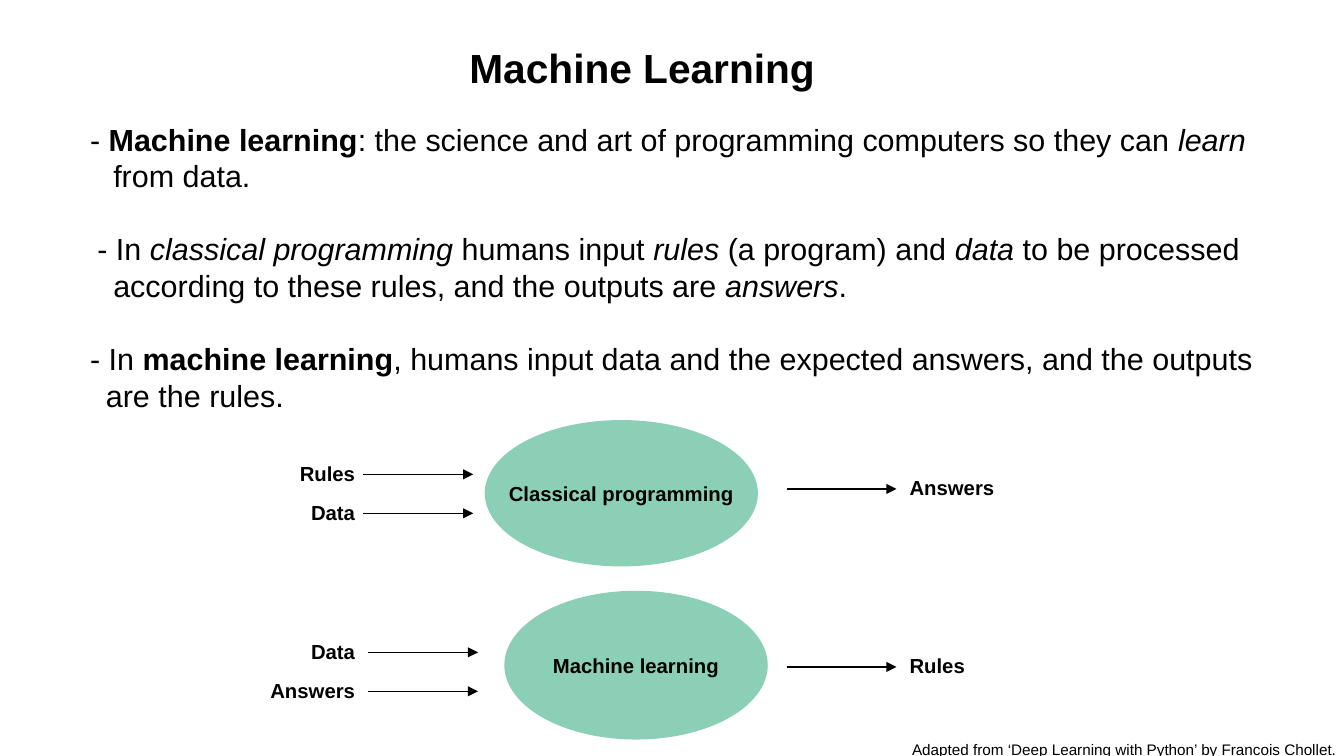
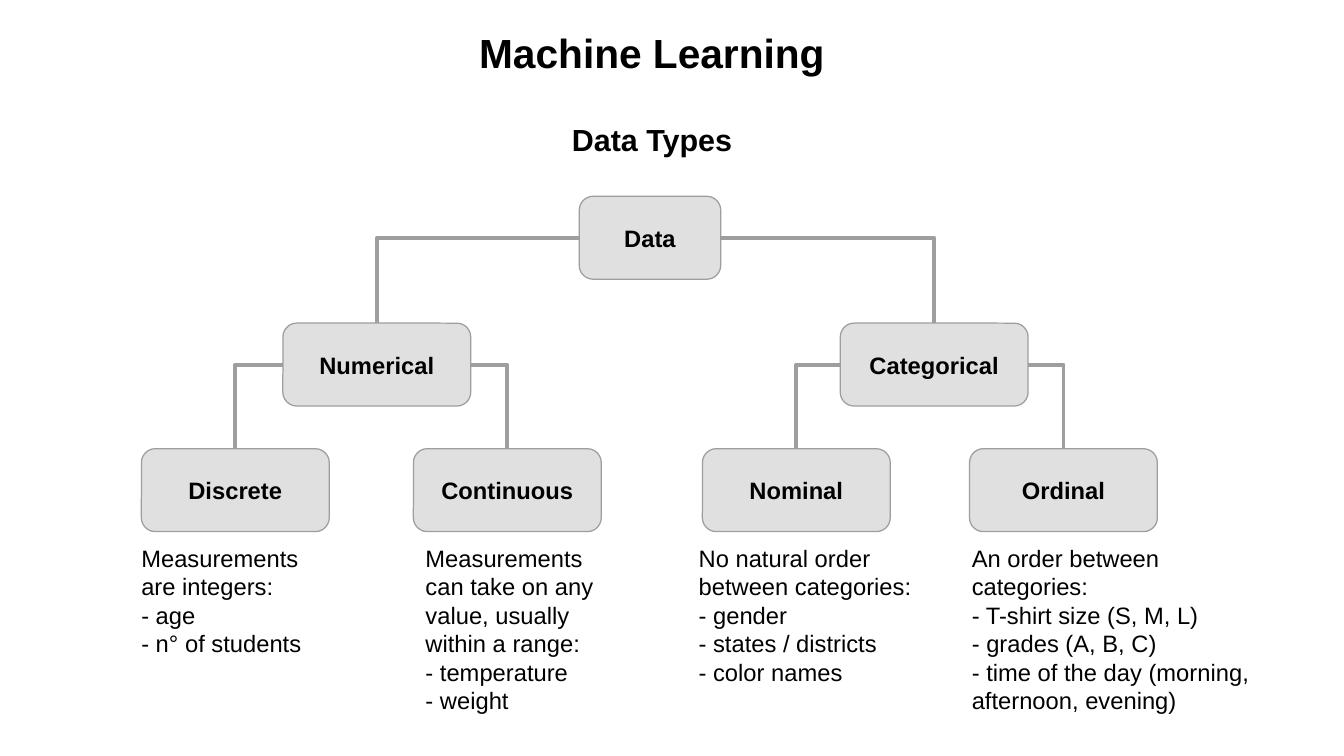
from dataclasses import dataclass

from pptx import Presentation
from pptx.dml.color import RGBColor
from pptx.enum import shapes, text
from pptx.oxml import ns, xmlchemy
from pptx.util import Inches, Pt


@dataclass(frozen=True)
class Theme:
    font: str = "Arial"
    ink: RGBColor = RGBColor(0x00, 0x00, 0x00)
    green: RGBColor = RGBColor(0x8C, 0xCF, 0xB7)
    grey: RGBColor = RGBColor(0xE0, 0xE0, 0xE0)
    border: RGBColor = RGBColor(0x9E, 0x9E, 0x9E)
    title: float = 24
    body: float = 18
    node: float = 14
    label: float = 12
    source: float = 9
    thin: float = 0.75
    thick: float = 2.25


THEME = Theme()
PLAIN, BOLD, ITALIC = "plain", "bold", "italic"

# Each point: left margin, first-line indent, styled runs
POINTS = [
    (0.19, -0.19, [
        ("- ", PLAIN), ("Machine learning", BOLD),
        (": the science and art of programming computers so they can ", PLAIN),
        ("learn", ITALIC), (" from data.", PLAIN)]),
    (0.19, -0.13, [
        ("- In ", PLAIN), ("classical programming", ITALIC),
        (" humans input ", PLAIN), ("rules", ITALIC),
        (" (a program) and ", PLAIN), ("data", ITALIC),
        (" to be processed according to these rules, and the outputs are ", PLAIN),
        ("answers", ITALIC), (".", PLAIN)]),
    (0.13, -0.13, [
        ("- In ", PLAIN), ("machine learning", BOLD),
        (", humans input data and the expected answers, and the outputs"
         " are the rules.", PLAIN)]),
]

# Each branch: name, left, leaves (name, left, note left, note width, note lines)
BRANCHES = [
    ("Numerical", 1.16, [
        ("Discrete", 0, -0.1, 1.59,
         ["Measurements are integers:", "- age", "- n° of students"]),
        ("Continuous", 2.23, 2.23, 1.59,
         ["Measurements can take on any value, usually within a range:",
          "- temperature", "- weight"])]),
    ("Categorical", 5.73, [
        ("Nominal", 4.6, 4.47, 1.99,
         ["No natural order between categories:", "- gender",
          "- states / districts", "- color names"]),
        ("Ordinal", 6.79, 6.71, 2.7,
         ["An order between categories:", "- T-shirt size (S, M, L)",
          "- grades (A, B, C)",
          "- time of the day (morning, afternoon, evening)"])]),
]


# Shared parts

def style_paragraph(paragraph, size, bold=False, align=None):
    paragraph.font.name = THEME.font
    paragraph.font.size = Pt(size)
    paragraph.font.bold = bold
    paragraph.font.color.rgb = THEME.ink
    paragraph.alignment = align


def add_text(slide, box, lines, size, bold=False, align=None):
    shape = slide.shapes.add_textbox(*map(Inches, box))
    frame = shape.text_frame
    frame.word_wrap = True
    frame.text = "\n".join(lines)
    for paragraph in frame.paragraphs:
        style_paragraph(paragraph, size, bold, align)
    return frame


def add_title(slide, left, top):
    add_text(slide, (left, top, 3.09, 0.49), ["Machine Learning"],
             THEME.title, bold=True)


def add_node(slide, kind, box, name, size, fill, border):
    shape = slide.shapes.add_shape(kind, *map(Inches, box))
    shape.shadow.inherit = False
    shape.fill.solid()
    shape.fill.fore_color.rgb = fill
    shape.line.color.rgb = border
    shape.line.width = Pt(THEME.thin)
    shape.text_frame.text = name
    style_paragraph(shape.text_frame.paragraphs[0], size, True,
                    text.PP_ALIGN.CENTER)
    return shape


def add_line(slide, kind, start, end, color, width):
    connector = slide.shapes.add_connector(
        kind, *map(Inches, start), *map(Inches, end))
    connector.line.color.rgb = color
    connector.line.width = Pt(width)
    properties = connector._element.spPr
    properties.append(xmlchemy.OxmlElement("a:effectLst"))
    return connector


# Slide 1: definitions and the two processes

def add_points(slide, box):
    frame = add_text(slide, box, [""] * len(POINTS), THEME.body)
    for index, (margin, indent, runs) in enumerate(POINTS):
        paragraph = frame.paragraphs[index]
        if index:
            paragraph.space_before = Pt(21.6)
        properties = paragraph._p.get_or_add_pPr()
        properties.set("marL", str(Inches(margin)))
        properties.set("indent", str(Inches(indent)))
        for words, style in runs:
            run = paragraph.add_run()
            run.text = words
            run.font.name = THEME.font
            run.font.size = Pt(THEME.body)
            run.font.color.rgb = THEME.ink
            run.font.bold = style == BOLD
            run.font.italic = style == ITALIC


def add_arrow(slide, left, y):
    arrow = add_line(slide, shapes.MSO_CONNECTOR.STRAIGHT, (left, y),
                     (left + 0.9, y), THEME.ink, THEME.thin)
    head = xmlchemy.OxmlElement("a:tailEnd")
    head.set("type", "triangle")
    arrow.line._get_or_add_ln().append(head)


def add_process(slide, left, top, name, ellipse, arrow_left, first_row,
                inputs, output):
    """ellipse is (offset, width, height); other offsets are from left and top."""
    offset, width, height = ellipse
    shape = add_node(slide, shapes.MSO_SHAPE.OVAL,
                     (left + offset, top, width, height), name,
                     THEME.label, THEME.green, THEME.green)
    shape.text_frame.word_wrap = False
    # Inputs, one row each
    for index, label in enumerate(inputs):
        y = top + first_row + index * 0.32
        add_arrow(slide, left + arrow_left, y)
        add_text(slide, (left, y - 0.16, 1.01, 0.28), [label], THEME.label,
                 True, text.PP_ALIGN.RIGHT)
    # Output
    y = top + first_row + 0.12
    add_arrow(slide, left + 4.45, y)
    add_text(slide, (left + 5.36, y - 0.16, 1.21, 0.28), [output],
             THEME.label, True)


def build_definitions(slide):
    add_title(slide, 3.75, 0.3)
    add_process(slide, 2, 3.45, "Classical programming", (1.98, 2.23, 1.19),
                0.98, 0.44, ["Rules", "Data"], "Answers")
    add_process(slide, 2, 4.85, "Machine learning", (2.14, 2.15, 1.21),
                1.02, 0.5, ["Data", "Answers"], "Rules")
    source = add_text(
        slide, (7.38, 6.02, 3.64, 0.18),
        ["Adapted from ‘Deep Learning with Python’ by Francois Chollet."],
        THEME.source)
    source.margin_right = 0
    add_points(slide, (0.64, 0.94, 9.79, 0.93))


# Slide 2: tree of data types

def add_tree_node(slide, left, top, name, width=1.54):
    return add_node(slide, shapes.MSO_SHAPE.ROUNDED_RECTANGLE,
                    (left, top, width, 0.68), name, THEME.node,
                    THEME.grey, THEME.border)


def join_child(slide, parent, child, side):
    """Leave the parent at its side (1 left, 3 right), enter the child on top."""
    start_x = parent.left + (parent.width if side == 3 else 0)
    start = (start_x, parent.top + parent.height // 2)
    end = (child.left + child.width // 2, child.top)
    elbow = add_line(slide, shapes.MSO_CONNECTOR.ELBOW,
                     [value / Inches(1) for value in start],
                     [value / Inches(1) for value in end],
                     THEME.border, THEME.thick)
    geometry = elbow._element.spPr.find(ns.qn("a:prstGeom"))
    geometry.set("prst", "bentConnector2")
    elbow.begin_connect(parent, side)
    elbow.end_connect(child, 0)


def add_tree(slide, left, top):
    root = add_tree_node(slide, left + 3.59, top, "Data", 1.16)
    sides = (1, 3)
    for side, (name, offset, leaves) in zip(sides, BRANCHES):
        branch = add_tree_node(slide, left + offset, top + 1.04, name)
        join_child(slide, root, branch, side)
        for leaf_side, leaf_data in zip(sides, leaves):
            leaf_name, leaf_left, note_left, note_width, note = leaf_data
            leaf = add_tree_node(slide, left + leaf_left, top + 2.07, leaf_name)
            join_child(slide, branch, leaf, leaf_side)
            add_text(slide, (left + note_left, top + 2.8, note_width, 1.5),
                     note, THEME.node)


def build_data_types(slide):
    add_title(slide, 3.83, 0.18)
    heading = add_text(slide, (4.59, 0.79, 1.55, 0.59), ["Data Types"],
                       THEME.body, bold=True)
    heading.paragraphs[0].line_spacing = 1.5
    add_tree(slide, 1.16, 1.61)


def main():
    presentation = Presentation()
    presentation.slide_width = Inches(11.02)
    presentation.slide_height = Inches(6.2)
    blank = presentation.slide_layouts[6]
    for build in (build_definitions, build_data_types):
        build(presentation.slides.add_slide(blank))
    presentation.save("out.pptx")


if __name__ == "__main__":
    main()
